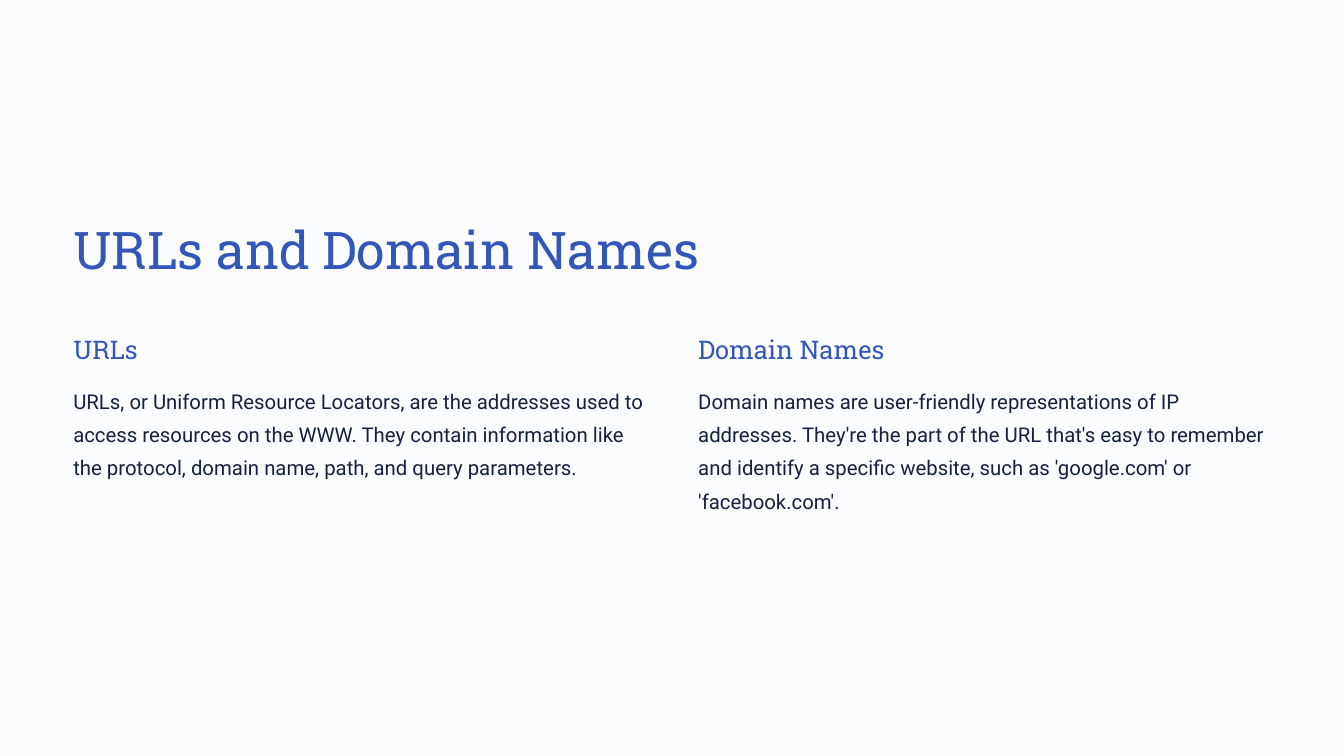
import pptx
import pptx.dml.color
import pptx.enum.shapes
import pptx.enum.text
import pptx.oxml.ns
import pptx.util
from pptx.util import Inches
import lxml.etree

COLOURS = {"backdrop": "EDF1F8", "panel": "FBFCFE", "heading": "3257B8", "body": "15213F"}


def write_text(box, text, *, left, top, width, height, size, line, font, colour, wrap=True):
    """Place a placeholder and fill it with one plain, left-aligned paragraph."""
    box.left, box.top = Inches(left), Inches(top)
    box.width, box.height = Inches(width), Inches(height)
    frame = box.text_frame
    frame.text = text
    frame.word_wrap = wrap
    frame.auto_size = pptx.enum.text.MSO_AUTO_SIZE.NONE
    frame.vertical_anchor = pptx.enum.text.MSO_ANCHOR.TOP
    frame.margin_left = frame.margin_right = frame.margin_top = frame.margin_bottom = 0

    para = frame.paragraphs[0]
    para.alignment = pptx.enum.text.PP_ALIGN.LEFT
    para.line_spacing = pptx.util.Pt(line)
    para.space_before = pptx.util.Pt(0)
    # No bullet and no hanging indent
    properties = para._p.get_or_add_pPr()
    properties.set("marL", "0")
    properties.set("indent", "0")
    lxml.etree.SubElement(properties, pptx.oxml.ns.qn("a:buNone"))

    span = para.runs[0]
    span.font.name = font
    span.font.size = pptx.util.Pt(size)
    span.font.bold = False
    span.font.color.rgb = pptx.dml.color.RGBColor.from_string(COLOURS[colour])


# Deck and page, on the Comparison layout
deck = pptx.Presentation()
deck.slide_width, deck.slide_height = Inches(20), Inches(11.25)
page = deck.slides.add_slide(deck.slide_layouts[4])

# Full-page backdrop and panel, sent behind the placeholders
for depth, name in enumerate(["backdrop", "panel"]):
    sheet = page.shapes.add_shape(pptx.enum.shapes.MSO_SHAPE.RECTANGLE, 0, 0,
                                  deck.slide_width, deck.slide_height)
    sheet.shadow.inherit = False
    sheet.fill.solid()
    sheet.fill.fore_color.rgb = pptx.dml.color.RGBColor.from_string(COLOURS[name])
    sheet.line.fill.background()
    page.shapes._spTree.insert(2 + depth, sheet._element)

# Title
write_text(page.shapes.title, "URLs and Domain Names", left=1.09, top=3.2, width=9.35, height=0.99,
           size=55.6, line=69.4, font="Roboto Slab", colour="heading", wrap=False)

# Two columns: heading placeholder, body placeholder, left edge, body height, texts
columns = [
    (1, 2, 1.09, 1.59, "URLs",
     "URLs, or Uniform Resource Locators, are the addresses used to access resources on the WWW. "
     "They contain information like the protocol, domain name, path, and query parameters."),
    (3, 4, 10.39, 2.09, "Domain Names",
     "Domain names are user-friendly representations of IP addresses. They're the part of the URL "
     "that's easy to remember and identify a specific website, such as 'google.com' or 'facebook.com'."),
]
for heading_index, body_index, left, body_height, heading, body in columns:
    write_text(page.placeholders[heading_index], heading, left=left, top=4.95, width=3.88, height=0.51,
               size=27.5, line=34.4, font="Roboto Slab", colour="heading")
    write_text(page.placeholders[body_index], body, left=left, top=5.66, width=8.54, height=body_height,
               size=21.8, line=35.6, font="Roboto", colour="body")

deck.save("out.pptx")
